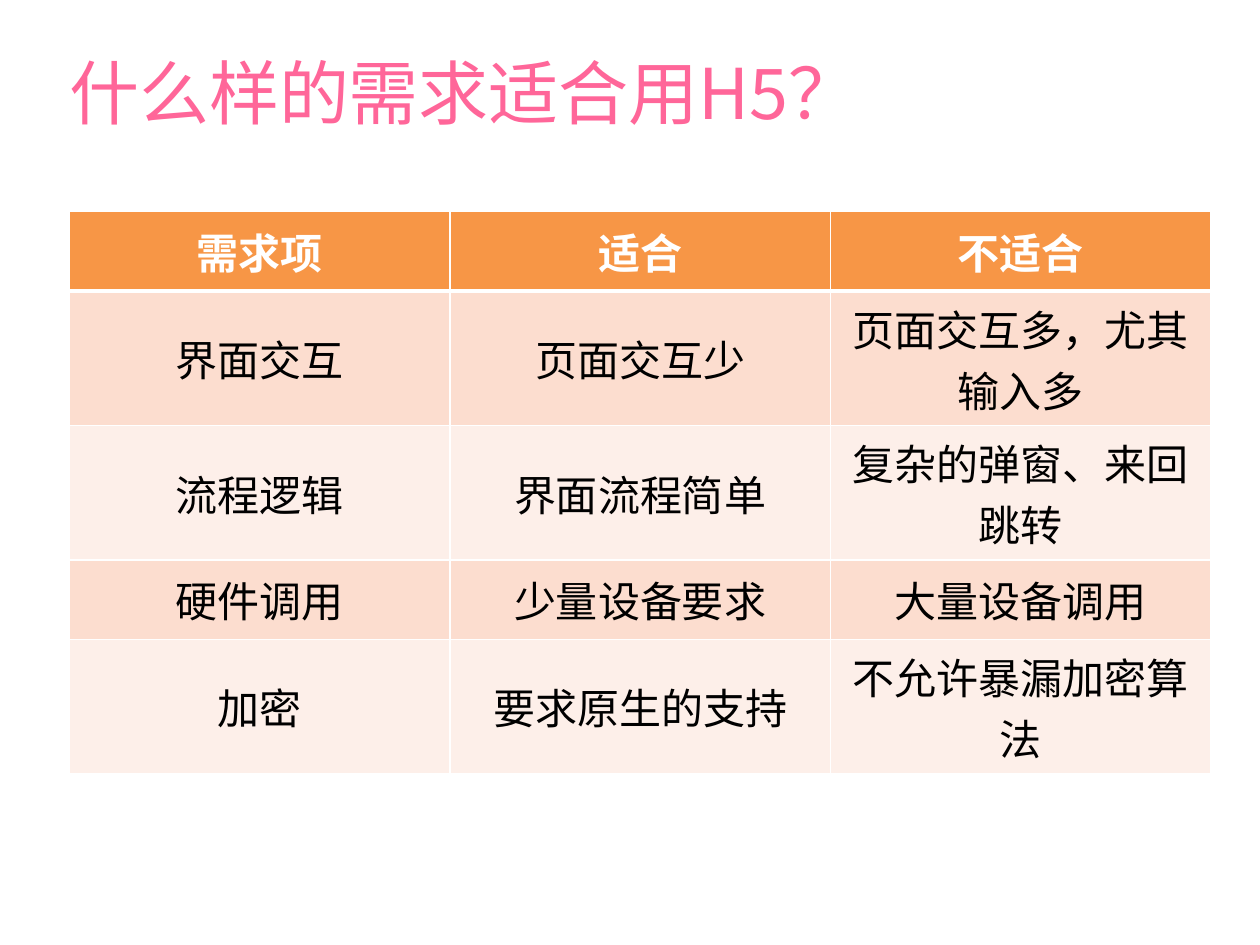
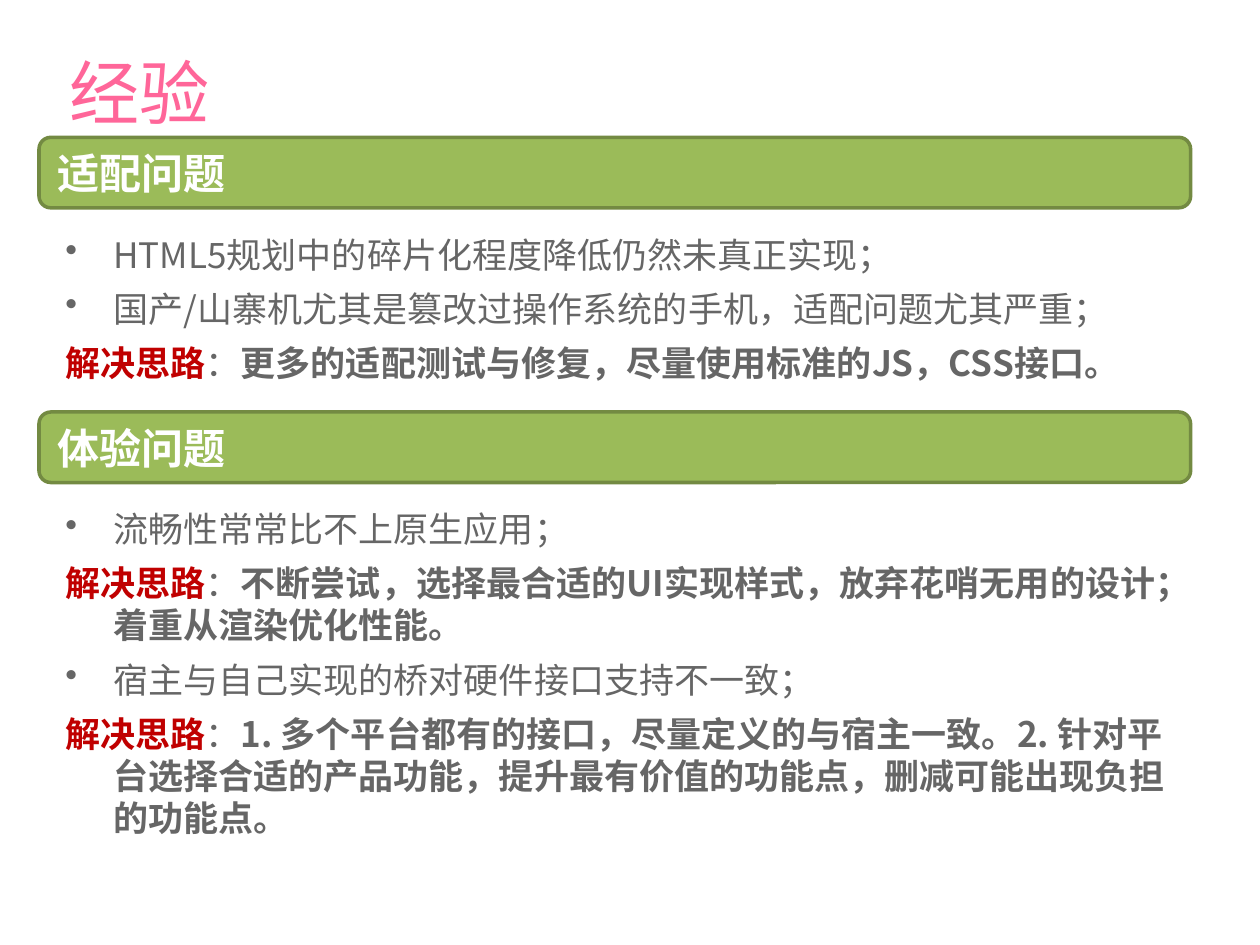
"""Build two slides on where H5 fits and what was learned from using it."""

from dataclasses import dataclass

import lxml.etree
import pptx
import pptx.dml.color
import pptx.enum.shapes
import pptx.enum.text
import pptx.oxml.ns
import pptx.presentation
import pptx.shapes.autoshape
import pptx.slide
import pptx.table
import pptx.text.text
import pptx.util

Inches = pptx.util.Inches
Pt = pptx.util.Pt
qn = pptx.oxml.ns.qn
MIDDLE = pptx.enum.text.MSO_ANCHOR.MIDDLE
LEFT = pptx.enum.text.PP_ALIGN.LEFT
CENTER = pptx.enum.text.PP_ALIGN.CENTER


@dataclass(frozen=True)
class Theme:
    font: str = "Noto Sans CJK SC"
    title: str = "FF6699"
    body: str = "666666"
    emphasis: str = "C00000"
    white: str = "FFFFFF"
    black: str = "000000"
    table_header: str = "F79646"
    table_rows: tuple[str, str] = ("FCDDCF", "FDEFE9")
    band: str = "9BBB59"
    band_line: str = "738A42"
    title_size: int = 40
    heading_size: int = 24
    body_size: int = 20
    body_leading: int = 24
    body_gap: int = 7


@dataclass(frozen=True)
class Point:
    text: str
    is_solution: bool = False


@dataclass(frozen=True)
class Section:
    heading: str
    top: float
    body_height: float
    points: tuple[Point, ...]


THEME = Theme()
INSET = 0.05
BODY_OFFSET = 0.71
HANGING_INDENT = Inches(0.38)

REQUIREMENTS = (
    ("需求项", "适合", "不适合"),
    ("界面交互", "页面交互少", "页面交互多，尤其输入多"),
    ("流程逻辑", "界面流程简单", "复杂的弹窗、来回跳转"),
    ("硬件调用", "少量设备要求", "大量设备调用"),
    ("加密", "要求原生的支持", "不允许暴漏加密算法"),
)

SECTIONS = (
    Section("适配问题", 1.09, 1.41, (
        Point("HTML5规划中的碎片化程度降低仍然未真正实现；"),
        Point("国产/山寨机尤其是篡改过操作系统的手机，适配问题尤其严重；"),
        Point("更多的适配测试与修复，尽量使用标准的JS，CSS接口。", True),
    )),
    Section("体验问题", 3.27, 2.42, (
        Point("流畅性常常比不上原生应用；"),
        Point("不断尝试，选择最合适的UI实现样式，放弃花哨无用的设计；"
              "着重从渲染优化性能。", True),
        Point("宿主与自己实现的桥对硬件接口支持不一致；"),
        Point("1. 多个平台都有的接口，尽量定义的与宿主一致。"
              "2. 针对平台选择合适的产品功能，提升最有价值的功能点，"
              "删减可能出现负担的功能点。", True),
    )),
)


def rgb(color: str) -> pptx.dml.color.RGBColor:
    return pptx.dml.color.RGBColor.from_string(color)


def add_text(paragraph: pptx.text.text._Paragraph, text: str, *, size: int,
             color: str, bold: bool = False) -> None:
    run = paragraph.add_run()
    run.text = text
    run.font.size = Pt(size)
    run.font.bold = bold
    run.font.color.rgb = rgb(color)
    run.font.name = THEME.font
    east_asian = lxml.etree.SubElement(run.font._element, qn("a:ea"))
    east_asian.set("typeface", THEME.font)


def format_frame(frame: pptx.text.text.TextFrame, left_inset: float = INSET) -> None:
    frame.word_wrap = True
    frame.auto_size = pptx.enum.text.MSO_AUTO_SIZE.NONE
    frame.margin_left = Inches(left_inset)
    frame.margin_top = frame.margin_right = frame.margin_bottom = Inches(INSET)


def add_titled_slide(presentation: pptx.presentation.Presentation,
                     title: str) -> pptx.slide.Slide:
    slide = presentation.slides.add_slide(presentation.slide_layouts[5])
    shape = slide.shapes.title
    shape.left, shape.top = Inches(0.5), Inches(0)
    shape.width, shape.height = Inches(9), Inches(1.45)
    frame = shape.text_frame
    format_frame(frame)
    frame.vertical_anchor = MIDDLE
    frame.paragraphs[0].alignment = LEFT
    add_text(frame.paragraphs[0], title, size=THEME.title_size, color=THEME.title)
    return slide


def set_borders(cell: pptx.table._Cell, bottom_width: int) -> None:
    properties = cell._tc.get_or_add_tcPr()
    widths = {"a:lnL": 1, "a:lnR": 1, "a:lnT": 1, "a:lnB": bottom_width}
    for index, (tag, width) in enumerate(widths.items()):
        line = lxml.etree.Element(qn(tag), w=str(Pt(width)))
        fill = lxml.etree.SubElement(line, qn("a:solidFill"))
        lxml.etree.SubElement(fill, qn("a:srgbClr"), val=THEME.white)
        properties.insert(index, line)


def add_requirements_table(slide: pptx.slide.Slide) -> None:
    row_count, column_count = len(REQUIREMENTS), len(REQUIREMENTS[0])
    table = slide.shapes.add_table(
        row_count, column_count, Inches(0.55), Inches(1.68),
        Inches(3.02 * column_count), Inches(0.63 * row_count)).table
    for row_index, row in enumerate(REQUIREMENTS):
        is_header = row_index == 0
        fill = THEME.table_header if is_header else THEME.table_rows[(row_index - 1) % 2]
        for column_index, text in enumerate(row):
            cell = table.cell(row_index, column_index)
            cell.fill.solid()
            cell.fill.fore_color.rgb = rgb(fill)
            set_borders(cell, 3 if is_header else 1)
            cell.vertical_anchor = MIDDLE
            paragraph = cell.text_frame.paragraphs[0]
            paragraph.alignment = CENTER
            add_text(paragraph, text, size=THEME.heading_size, bold=is_header,
                     color=THEME.white if is_header else THEME.black)


def add_band(slide: pptx.slide.Slide, section: Section) -> None:
    shape = slide.shapes.add_shape(
        pptx.enum.shapes.MSO_SHAPE.ROUNDED_RECTANGLE,
        Inches(0.31), Inches(section.top), Inches(9.14), Inches(0.56))
    shape.shadow.inherit = False
    shape.fill.solid()
    shape.fill.fore_color.rgb = rgb(THEME.band)
    shape.line.color.rgb = rgb(THEME.band_line)
    shape.line.width = Pt(2)
    format_frame(shape.text_frame, left_inset=0.12)
    shape.text_frame.vertical_anchor = MIDDLE
    paragraph = shape.text_frame.paragraphs[0]
    paragraph.alignment = LEFT
    add_text(paragraph, section.heading, size=THEME.heading_size,
             color=THEME.white, bold=True)


def add_point(paragraph: pptx.text.text._Paragraph, point: Point) -> None:
    properties = paragraph._p.get_or_add_pPr()
    properties.set("marL", str(HANGING_INDENT))
    properties.set("indent", str(-HANGING_INDENT))
    if not point.is_solution:
        lxml.etree.SubElement(properties, qn("a:buChar"), char="•")
    paragraph.line_spacing = Pt(THEME.body_leading)
    size = THEME.body_size
    if point.is_solution:
        add_text(paragraph, "解决思路", size=size, color=THEME.emphasis, bold=True)
        add_text(paragraph, "：", size=size, color=THEME.body)
    add_text(paragraph, point.text, size=size, color=THEME.body, bold=point.is_solution)


def add_section(slide: pptx.slide.Slide, section: Section) -> None:
    box = slide.shapes.add_textbox(
        Inches(0.47), Inches(section.top + BODY_OFFSET),
        Inches(9), Inches(section.body_height))
    frame = box.text_frame
    format_frame(frame)
    for index, point in enumerate(section.points):
        paragraph = frame.add_paragraph() if index else frame.paragraphs[0]
        add_point(paragraph, point)
        if index:
            paragraph.space_before = Pt(THEME.body_gap)
    add_band(slide, section)


def main() -> None:
    presentation = pptx.Presentation()
    presentation.slide_width, presentation.slide_height = Inches(10), Inches(7.5)
    add_requirements_table(add_titled_slide(presentation, "什么样的需求适合用H5？"))
    experience_slide = add_titled_slide(presentation, "经验")
    for section in SECTIONS:
        add_section(experience_slide, section)
    presentation.save("out.pptx")


if __name__ == "__main__":
    main()
